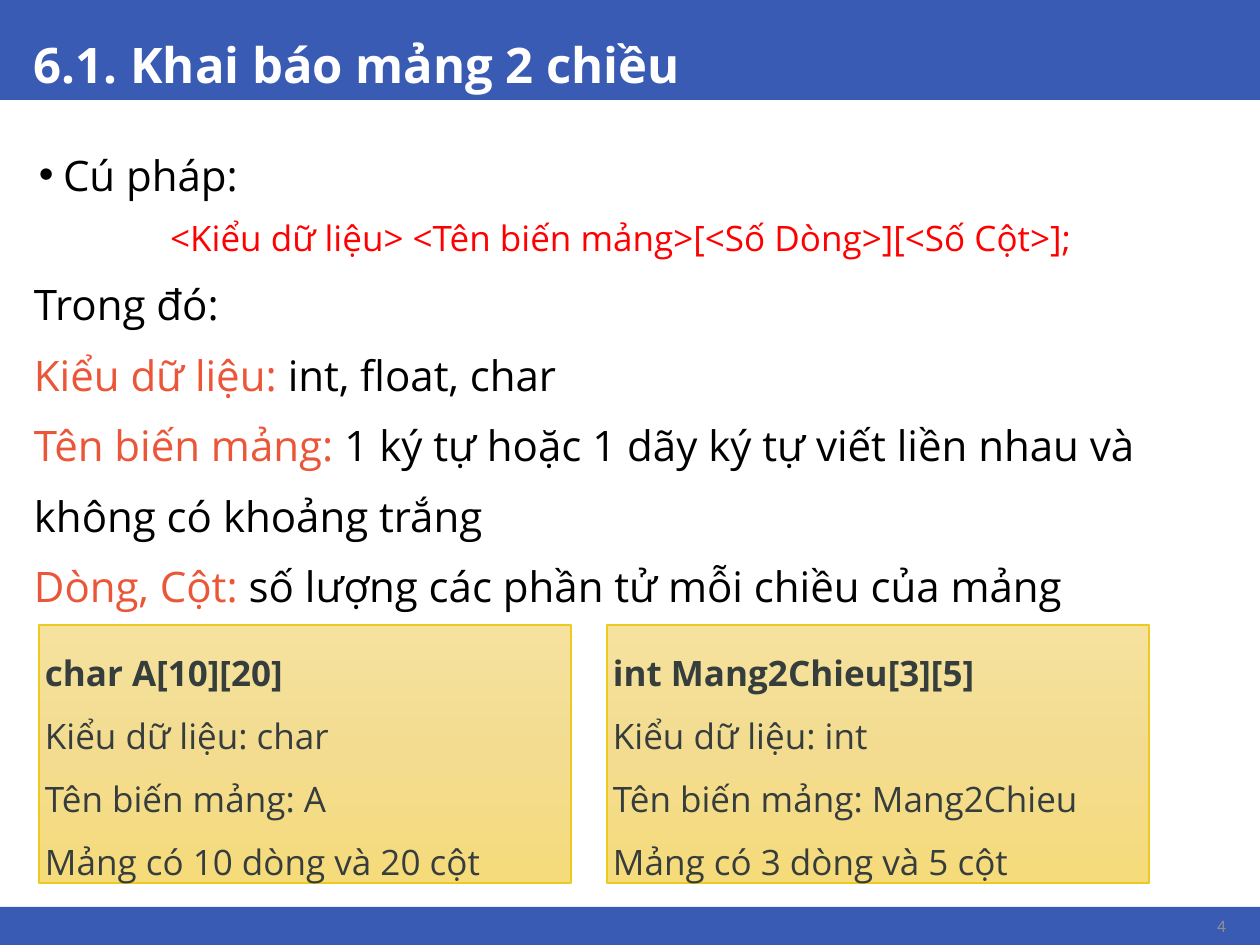
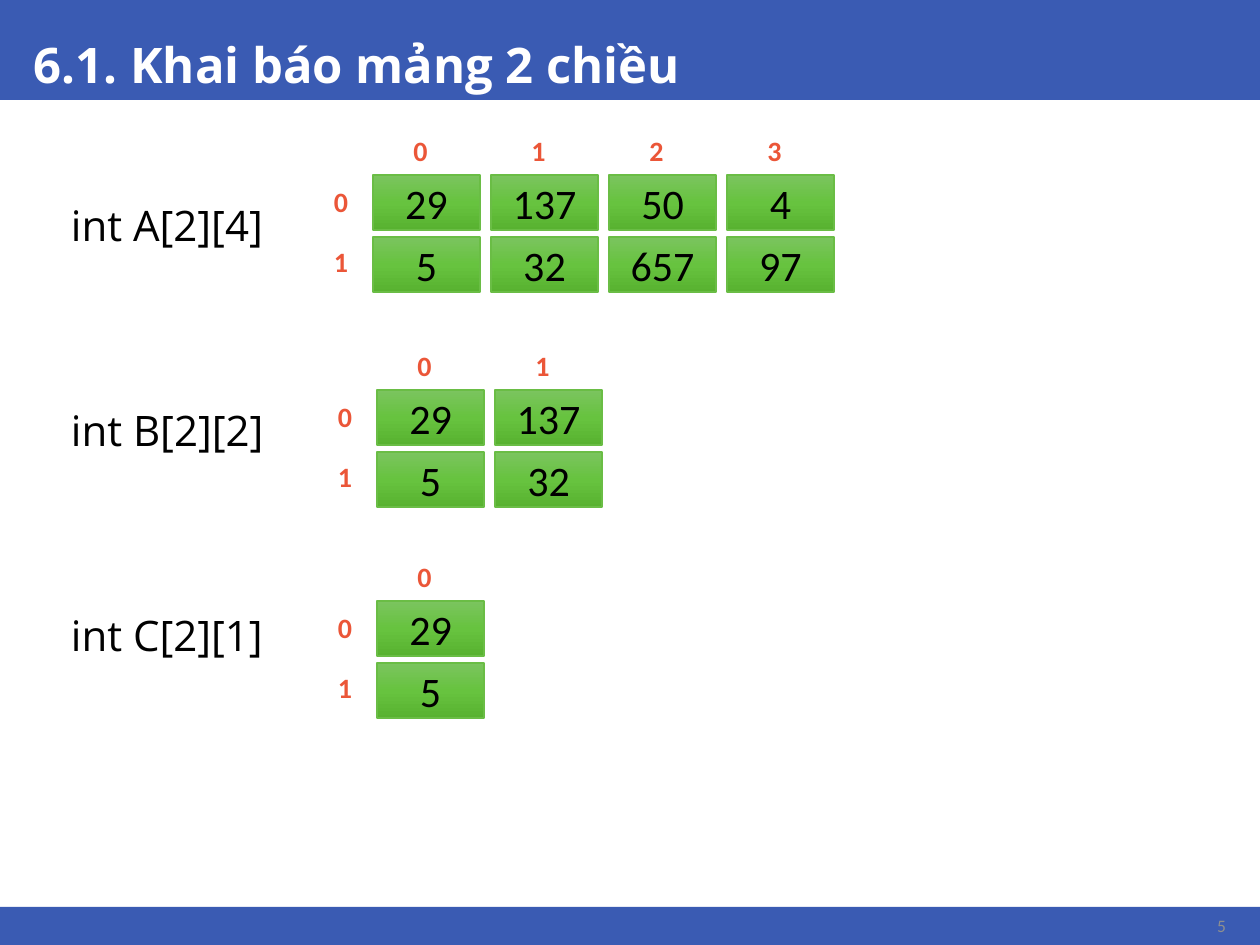
from copy import deepcopy

from pptx import Presentation
from pptx.dml.color import RGBColor
from pptx.enum.shapes import MSO_SHAPE
from pptx.enum.text import MSO_ANCHOR, MSO_AUTO_SIZE, PP_ALIGN
from pptx.oxml import parse_xml
from pptx.oxml.ns import nsdecls, qn
from pptx.util import Pt

BLUE = RGBColor(0x3A, 0x5B, 0xB3)
WHITE = RGBColor(0xFF, 0xFF, 0xFF)
BLACK = RGBColor(0, 0, 0)
RED = RGBColor(0xFF, 0, 0)
ORANGE = RGBColor(0xEB, 0x56, 0x38)
GREY = RGBColor(0x8E, 0x8F, 0x8F)
DARK = RGBColor(0x36, 0x3D, 0x3D)
GOLD_LINE = RGBColor(0xEB, 0xCA, 0x21)
GREEN_LINE = RGBColor(0x6A, 0xBD, 0x45)
GOLD = [RGBColor(0xF6, 0xE2, 0x9E), RGBColor(0xF3, 0xDC, 0x90), RGBColor(0xF6, 0xDB, 0x7B)]
GREEN = [RGBColor(0x7B, 0xC4, 0x5F), RGBColor(0x67, 0xC3, 0x3F), RGBColor(0x58, 0xB2, 0x30)]

HEADING = "Open Sans"
NUMBERS = "Calibri"
TITLE = "6.1. Khai báo mảng 2 chiều"
INSET = 6
CELL_W, CELL_H = 107, 55
COL_STEP, ROW_STEP = 118, 62


def px(n):
    return n * 914400 // 126


def set_frame(tf, anchor=MSO_ANCHOR.TOP, bottom=INSET):
    values = {"word_wrap": True, "auto_size": MSO_AUTO_SIZE.NONE, "vertical_anchor": anchor,
              "margin_left": px(INSET), "margin_right": px(INSET),
              "margin_top": px(INSET), "margin_bottom": px(bottom)}
    for name, value in values.items():
        setattr(tf, name, value)


def set_font(font, color, **values):
    font.color.rgb = color
    for name, value in values.items():
        setattr(font, name, value)


def write(tf, paragraphs, name, align=PP_ALIGN.LEFT, spacing=1.0):
    """Each paragraph is a list of (text, size, color, bold) runs."""
    for i, runs in enumerate(paragraphs):
        p = tf.paragraphs[0] if i == 0 else tf.add_paragraph()
        p.alignment = align
        p.line_spacing = spacing
        for text, size, color, bold in runs:
            r = p.add_run()
            r.text = text
            set_font(r.font, color, name=name, size=Pt(size), bold=bold)


def add_text(s, box, paragraphs, name, anchor=MSO_ANCHOR.MIDDLE, **layout):
    tf = s.shapes.add_textbox(*map(px, box)).text_frame
    set_frame(tf, anchor)
    write(tf, paragraphs, name, **layout)
    return tf


def add_rect(s, box):
    sp = s.shapes.add_shape(MSO_SHAPE.RECTANGLE, *map(px, box))
    sp.shadow.inherit = False
    return sp


def add_gradient_rect(s, box, colors, line):
    sp = add_rect(s, box)
    sp.fill.gradient()
    sp.fill.gradient_angle = 270
    stops = sp._element.spPr.find(qn("a:gradFill")).find(qn("a:gsLst"))
    stops.insert(1, deepcopy(stops[0]))
    for stop, color, position in zip(sp.fill.gradient_stops, colors, (0, 0.5, 1)):
        stop.color.rgb = color
        stop.position = position
    sp.line.color.rgb = line
    sp.line.width = Pt(0.75)
    return sp


def add_band(s, y, h):
    sp = add_rect(s, (0, y, 1260, h))
    sp.fill.solid()
    sp.fill.fore_color.rgb = BLUE
    sp.line.fill.background()
    s.shapes._spTree.insert(2, sp._element)  # behind the title


def add_slide_number(s, number):
    tf = add_text(s, (1170, 908, 62, 36), [[]], NUMBERS, align=PP_ALIGN.RIGHT)
    tf.paragraphs[0]._p.append(parse_xml(
        f'<a:fld {nsdecls("a")} id="{{B6F15528-21DE-4FAA-801E-634DDDAF4B2B}}" type="slidenum">'
        f'<a:rPr lang="vi-VN" sz="1000"><a:solidFill><a:srgbClr val="{GREY}"/></a:solidFill>'
        f'<a:latin typeface="{NUMBERS}"/></a:rPr><a:t>{number}</a:t></a:fld>'))


def new_slide(prs, number):
    s = prs.slides.add_slide(prs.slide_layouts[5])
    add_band(s, 907, 38)
    add_band(s, 0, 100)
    title = s.shapes.title
    title.left, title.top, title.width, title.height = map(px, (28, 0, 1206, 100))
    set_frame(title.text_frame, MSO_ANCHOR.BOTTOM)
    write(title.text_frame, [[(TITLE, 28, WHITE, True)]], HEADING, spacing=0.9)
    add_slide_number(s, number)
    return s


def add_syntax(s):
    def term(name, meaning):
        return [(name + " ", 24, ORANGE, False), (meaning, 24, BLACK, False)]

    tf = add_text(s, (28, 123, 1206, 522), [
        [("Cú pháp:", 24, BLACK, False)],
        [("<Kiểu dữ liệu> <Tên biến mảng>[<Số Dòng>][<Số Cột>];", 20, RED, False)],
        [("Trong đó:", 24, BLACK, False)],
        term("Kiểu dữ liệu:", "int, float, char"),
        term("Tên biến mảng:", "1 ký tự hoặc 1 dãy ký tự viết liền nhau và không có khoảng trắng"),
        term("Dòng, Cột:", "số lượng các phần tử mỗi chiều của mảng"),
    ], HEADING, anchor=MSO_ANCHOR.TOP, spacing=1.4)

    # Bullet on the first line, declaration centred on the second
    bullet, declaration = tf.paragraphs[:2]
    pPr = bullet._p.get_or_add_pPr()
    pPr.set("marL", str(px(29)))
    pPr.set("indent", str(px(-24)))
    for xml in (f'<a:buFont {nsdecls("a")} typeface="Arial"/>',
                f'<a:buChar {nsdecls("a")} char="•"/>'):
        pPr.append(parse_xml(xml))
    declaration.alignment = PP_ALIGN.CENTER
    declaration._p.get_or_add_pPr().set("marR", str(px(20)))


def add_example(s, x, w, declaration, details):
    sp = add_gradient_rect(s, (x, 625, w, 258), GOLD, GOLD_LINE)
    set_frame(sp.text_frame, bottom=0)
    lines = [[(declaration, 20, DARK, True)]] + [[(d, 20, DARK, False)] for d in details]
    write(sp.text_frame, lines, HEADING, spacing=1.5)


def add_index(s, box, index):
    add_text(s, box, [[(str(index), 16, ORANGE, True)]], NUMBERS, align=PP_ALIGN.CENTER)


def add_array(s, x, y, rows):
    for col in range(len(rows[0])):
        add_index(s, (x - 6 + col * COL_STEP, y - 47, CELL_W, 45), col)
    for row, values in enumerate(rows):
        add_index(s, (x - 58, y + 4 + row * 60, 52, 45), row)
        for col, value in enumerate(values):
            box = (x + col * COL_STEP, y + row * ROW_STEP, CELL_W, CELL_H)
            tf = add_gradient_rect(s, box, GREEN, GREEN_LINE).text_frame
            set_frame(tf, MSO_ANCHOR.MIDDLE)
            write(tf, [[(str(value), 24, BLACK, False)]], NUMBERS, PP_ALIGN.CENTER)


def main():
    prs = Presentation()
    prs.slide_width, prs.slide_height = px(1260), px(945)

    # Slide number 4: syntax and two examples
    prs.element.set("firstSlideNum", "4")
    s = new_slide(prs, 4)
    add_syntax(s)
    add_example(s, 39, 532, "char A[10][20]",
                ["Kiểu dữ liệu: char", "Tên biến mảng: A", "Mảng có 10 dòng và 20 cột"])
    add_example(s, 607, 542, "int Mang2Chieu[3][5]",
                ["Kiểu dữ liệu: int", "Tên biến mảng: Mang2Chieu", "Mảng có 3 dòng và 5 cột"])

    # Slide number 5: three arrays with their indexes
    s = new_slide(prs, 5)
    arrays = [
        ("int A[2][4]", 373, 175, [[29, 137, 50, 4], [5, 32, 657, 97]]),
        ("int B[2][2]", 377, 390, [[29, 137], [5, 32]]),
        ("int C[2][1]", 377, 601, [[29], [5]]),
    ]
    for i, (name, x, y, rows) in enumerate(arrays):
        add_text(s, (65, 195 + i * 205, 230, 60), [[(name, 24, BLACK, False)]], HEADING)
        add_array(s, x, y, rows)

    prs.save("out.pptx")


if __name__ == "__main__":
    main()
